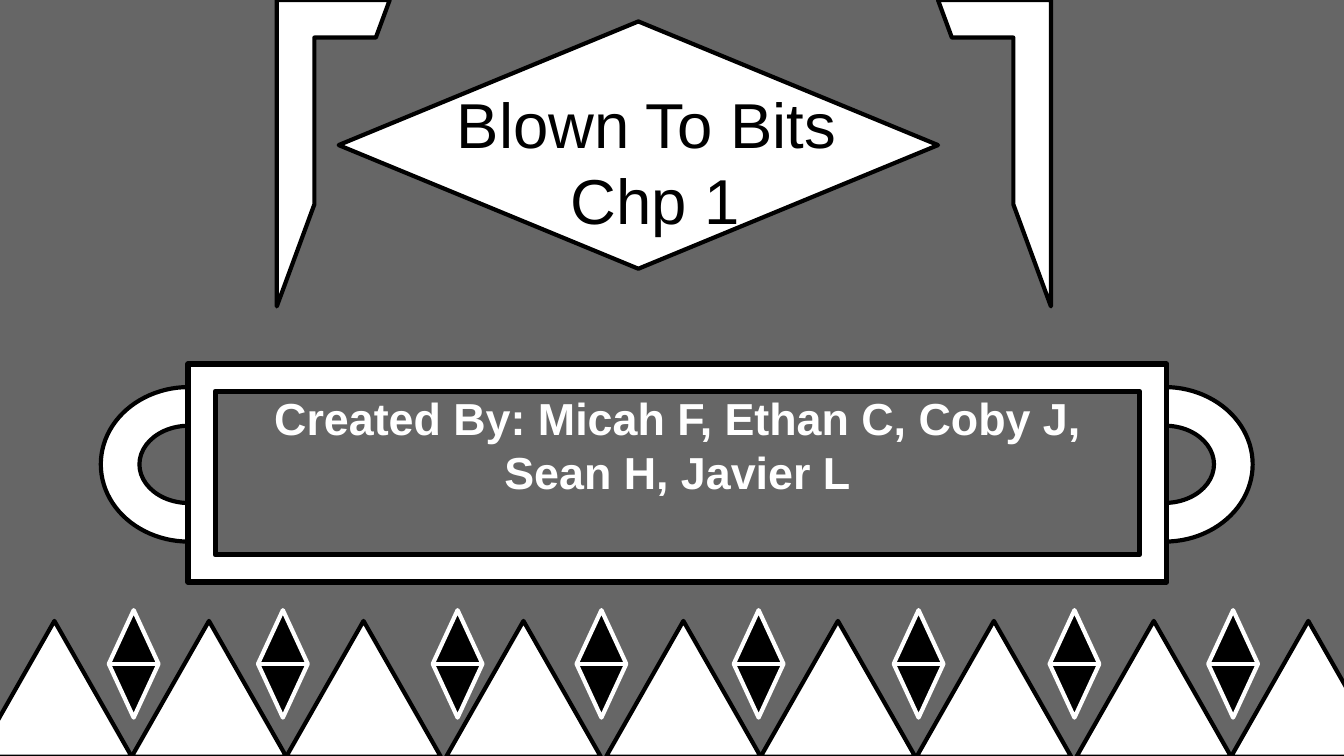
from lxml.etree import SubElement
from pptx import Presentation
from pptx.dml.color import RGBColor
from pptx.enum.shapes import MSO_SHAPE
from pptx.enum.text import MSO_ANCHOR, MSO_AUTO_SIZE, PP_ALIGN
from pptx.oxml.ns import qn
from pptx.util import Inches, Pt

COLORS = {"gray": "666666", "white": "FFFFFF", "black": "000000"}
WIDTH = 10
HEIGHT = WIDTH * 9 / 16

presentation = Presentation()
presentation.slide_width = Inches(WIDTH)
presentation.slide_height = Inches(HEIGHT)
slide = presentation.slides.add_slide(presentation.slide_layouts[0])


def add_figure(kind, box, fill="white", line="black", width=2.25, adjustments=()):
    shape = slide.shapes.add_shape(kind, *[Inches(value) for value in box])
    shape.shadow.inherit = False
    shape.fill.solid()
    shape.fill.fore_color.rgb = RGBColor.from_string(COLORS[fill])
    shape.line.color.rgb = RGBColor.from_string(COLORS[line])
    shape.line.width = Pt(width)
    SubElement(shape.element.spPr.find(qn("a:ln")), qn("a:round"))
    for index, value in enumerate(adjustments):
        shape.adjustments[index] = value
    return shape


def fill_placeholder(placeholder, box, lines, size, color, bold=False):
    # Bring the placeholder in front of the shapes drawn so far
    slide.shapes.element.append(placeholder.element)
    placeholder.left, placeholder.top, placeholder.width, placeholder.height = [
        Inches(value) for value in box
    ]
    text_frame = placeholder.text_frame
    text_frame.text = "\n".join(lines)
    text_frame.word_wrap = True
    text_frame.auto_size = MSO_AUTO_SIZE.NONE
    text_frame.vertical_anchor = MSO_ANCHOR.TOP
    text_frame.margin_left = text_frame.margin_right = Inches(0.1)
    text_frame.margin_top = text_frame.margin_bottom = Inches(0.1)
    for paragraph in text_frame.paragraphs:
        paragraph.alignment = PP_ALIGN.CENTER
        paragraph.line_spacing = 1.0
        paragraph.space_before = Pt(0)
        for run in paragraph.runs:
            run.font.name = "Arial"
            run.font.size = Pt(size)
            run.font.bold = bold
            run.font.color.rgb = RGBColor.from_string(COLORS[color])


# Gray backdrop
add_figure(MSO_SHAPE.RECTANGLE, (0, 0, WIDTH, HEIGHT), "gray", "gray", 0.75)

# Corner brackets, the right one mirrored
for left, mirrored in ((2.06, False), (6.98, True)):
    bracket = add_figure(MSO_SHAPE.HALF_FRAME, (left, 0, 0.84, 2.28),
                         adjustments=(0.333, 0.333))
    if mirrored:
        bracket.element.spPr.xfrm.set("flipH", "1")

# Title in a diamond, its lines indented a little to the right
add_figure(MSO_SHAPE.FLOWCHART_DECISION, (2.52, 0.16, 4.46, 1.84))
title = slide.shapes.title
fill_placeholder(title, (2.68, 0.53, 4.13, 1.1), ["Blown To Bits", "Chp 1"], 34, "black")
for paragraph, indent in zip(title.text_frame.paragraphs, (0.13, 0.26)):
    paragraph._p.get_or_add_pPr().set("marL", str(Inches(indent)))

# Row of triangles
for left in (-0.17, 0.98, 2.13, 3.32, 4.51, 5.66, 6.82, 8.01, 9.16):
    add_figure(MSO_SHAPE.ISOSCELES_TRIANGLE, (left, 4.62, 1.15, 1.01))

# Authors
fill_placeholder(slide.placeholders[1], (1.59, 2.81, 6.9, 1.15),
                 ["Created By: Micah F, Ethan C, Coby J, Sean H, Javier L"],
                 24, "white", bold=True)

# Handles and frame around the authors
for left, rotation in ((0.83, 270), (8.09, 90)):
    handle = add_figure(MSO_SHAPE.BLOCK_ARC, (left, 2.8, 1.15, 1.31),
                        adjustments=(108, 0, 0.25))
    handle.rotation = rotation
add_figure(MSO_SHAPE.FRAME, (1.4, 2.71, 7.28, 1.62), width=3, adjustments=(0.125,))

# Small diamonds between the triangles
for left in (0.81, 1.92, 3.22, 4.29, 5.46, 6.65, 7.81, 8.99):
    add_figure(MSO_SHAPE.FLOWCHART_SORT, (left, 4.54, 0.37, 0.8), "black", "white")

presentation.save("out.pptx")
